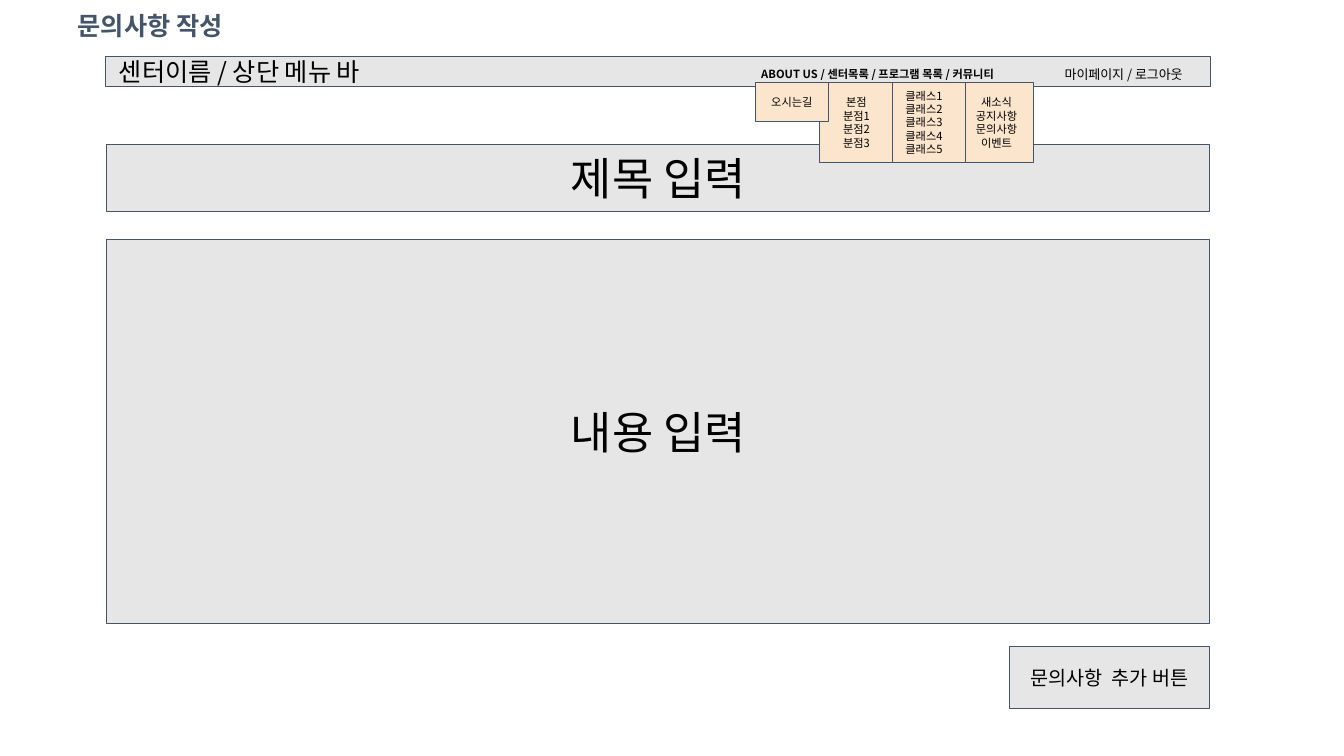
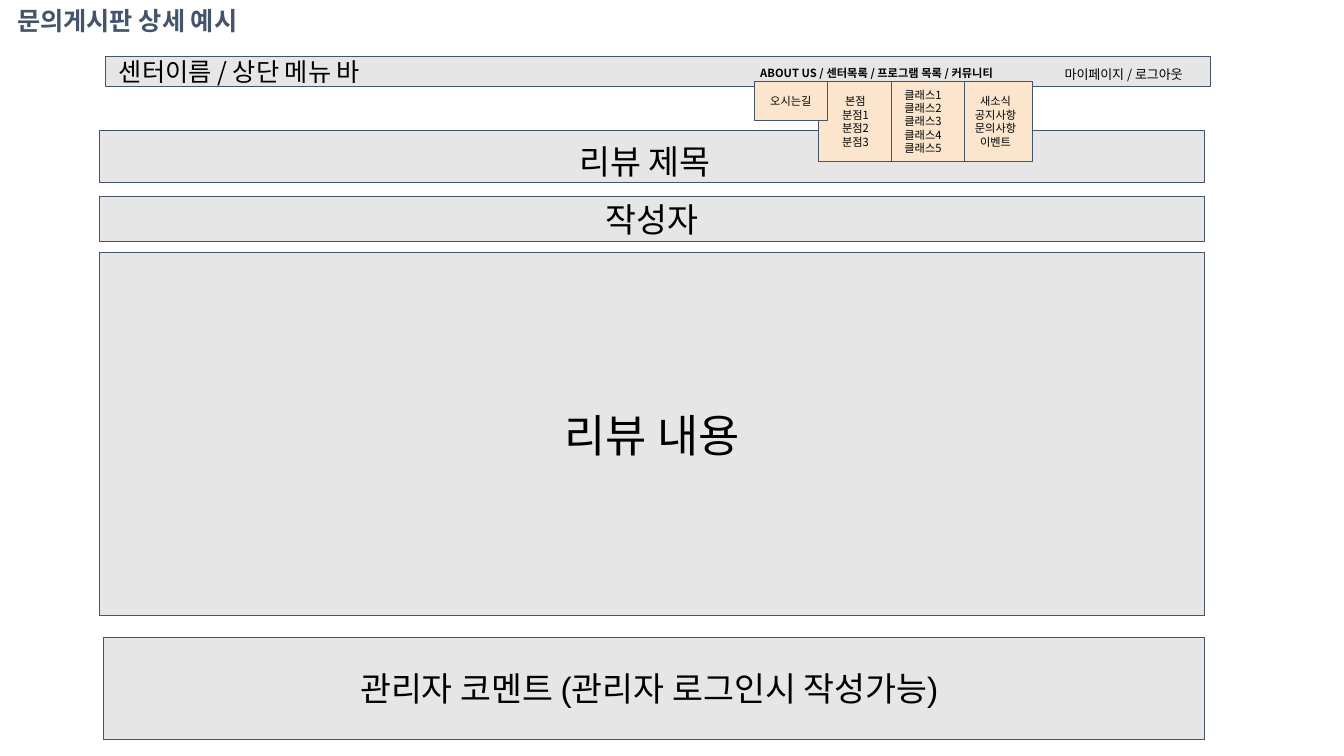
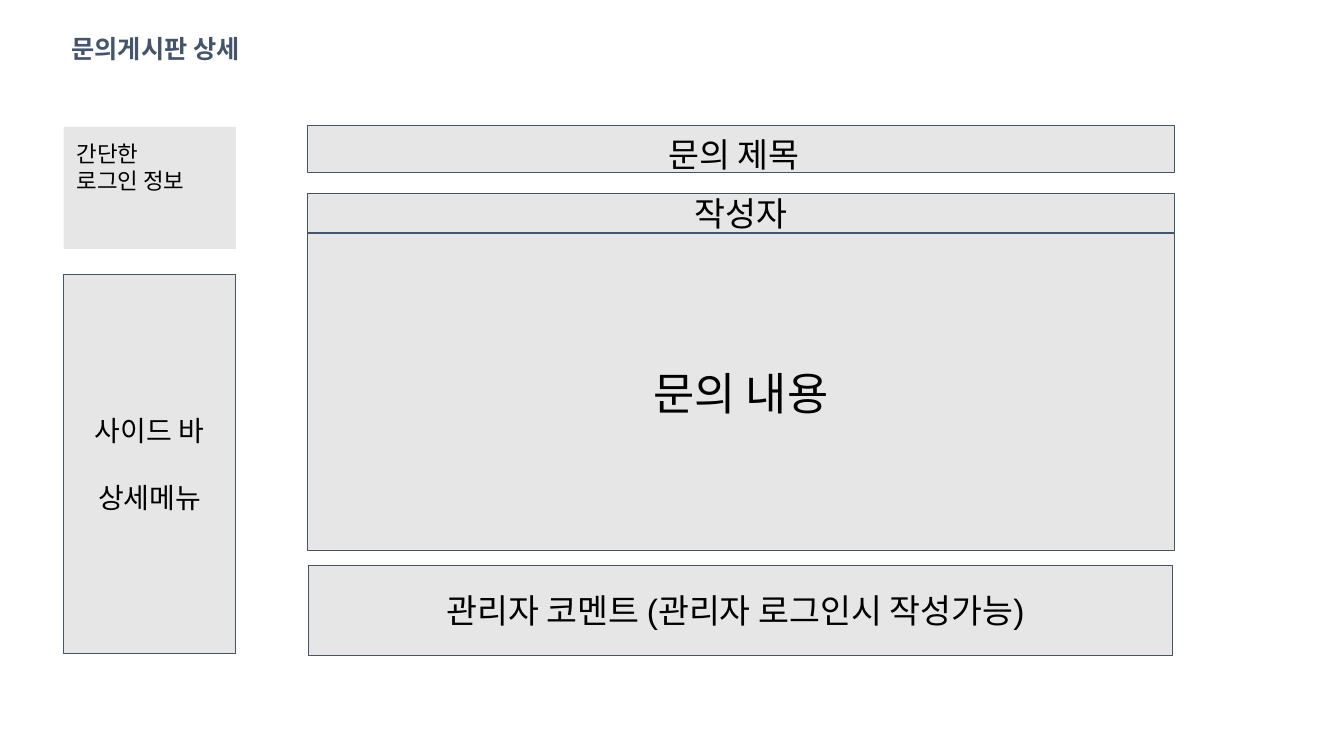
from lxml import etree
from pptx import Presentation
from pptx import util as u
from pptx.dml.color import RGBColor
from pptx.enum import shapes, text
from pptx.oxml.ns import qn

NAVY = RGBColor(0x44, 0x54, 0x6A)
GRAY = RGBColor(0xE7, 0xE6, 0xE6)
PEACH = RGBColor(0xFC, 0xE5, 0xCD)
BLACK = RGBColor(0, 0, 0)
NOTO = "Noto Sans CJK KR"
ARIAL = "Arial"
LEFT, CENTER = text.PP_ALIGN.LEFT, text.PP_ALIGN.CENTER
TOP, MIDDLE = text.MSO_ANCHOR.TOP, text.MSO_ANCHOR.MIDDLE
WIDE = (0.13,) * 4
NARROW = (0.1,) * 4
HEADING = (0.1, 0.2, 0.24, 0.1)
COMMENT = (0.1, 0.1, 0.2, 0.1)
COMMENT_TEXT = "관리자 코멘트 (관리자 로그인시 작성가능)"


def place(sp, box):
    sp.left, sp.top, sp.width, sp.height = [u.Inches(v) for v in box]


def write(sp, lines, size, font=NOTO, color=BLACK, bold=False, align=LEFT,
          anchor=TOP, insets=WIDE, gap=0):
    tf = sp.text_frame
    tf.word_wrap = True
    tf.auto_size = text.MSO_AUTO_SIZE.NONE
    tf.vertical_anchor = anchor
    tf.margin_left, tf.margin_top, tf.margin_right, tf.margin_bottom = [
        u.Inches(v) for v in insets]
    tf.text = "\n".join(lines)
    for i, p in enumerate(tf.paragraphs):
        p.alignment = align
        p.line_spacing = u.Pt(round(size * 1.2, 1))
        p.space_before = u.Pt(gap if i else 0)
        p.font.name = font
        p.font.size = u.Pt(size)
        p.font.bold = bold
        p.font.color.rgb = color
        for props in p._p.iter(qn("a:defRPr")):
            etree.SubElement(props, qn("a:ea"), typeface=NOTO)


def add_title(s, title, left, top):
    sp = s.shapes.title
    place(sp, (left, top, 3, 0.46))
    write(sp, [title], 18, color=NAVY, bold=True, insets=NARROW)


def add_label(s, box, line, size, bold=False):
    sp = s.shapes.add_textbox(*[u.Inches(v) for v in box])
    write(sp, [line], size, bold=bold)


def add_box(s, box, lines, size, fill=GRAY, outlined=True, align=CENTER,
            anchor=MIDDLE, **style):
    sp = s.shapes.add_shape(shapes.MSO_SHAPE.RECTANGLE, *[u.Inches(v) for v in box])
    sp.shadow.inherit = False
    sp.fill.solid()
    sp.fill.fore_color.rgb = fill
    if outlined:
        sp.line.color.rgb = NAVY
        sp.line.width = u.Pt(0.75)
    else:
        sp.line.fill.background()
    write(sp, lines, size, align=align, anchor=anchor, **style)


def add_panel(s, box, line, size, insets=NARROW):
    add_box(s, box, [line], size, font=ARIAL, insets=insets)


def add_menu_bar(s, left, top):
    add_box(s, (1.05, 0.56, 10.96, 0.3), ["센터이름 / 상단 메뉴 바"], 18, align=LEFT)
    add_label(s, (left, top, 3.29, 0.39),
              "ABOUT US / 센터목록 / 프로그램 목록 / 커뮤니티", 8, bold=True)
    menus = [
        (2.1, 0.79, CENTER, ["새소식", "공지사항", "문의사항", "이벤트"]),
        (0.71, 0.79, CENTER, ["본점"] + [f"분점{n}" for n in range(1, 4)]),
        (1.43, 0.79, LEFT, [f"클래스{n}" for n in range(1, 6)]),
        (0.07, 0.39, CENTER, ["오시는길"]),
    ]
    for offset, height, align, items in menus:
        add_box(s, (left + offset, top + 0.28, 0.73, height), items, 8,
                fill=PEACH, align=align)
    add_label(s, (10.43, 0.55, 2.06, 0.21), "마이페이지 / 로그아웃", 9.3)


def build_write_form(s):
    add_title(s, "문의사항 작성", 0.67, 0)
    add_panel(s, (1.06, 1.43, 10.94, 0.67), "제목 입력", 32)
    add_panel(s, (1.06, 2.38, 10.94, 3.81), "내용 입력", 32)
    add_panel(s, (10.01, 6.41, 1.99, 0.62), "문의사항  추가 버튼", 14)
    add_menu_bar(s, 7.42, 0.54)


def build_detail_example(s):
    add_title(s, "문의게시판 상세 예시", 0.07, -0.05)
    add_panel(s, (0.99, 1.29, 10.96, 0.52), "리뷰 제목", 24, HEADING)
    add_panel(s, (0.99, 1.95, 10.96, 0.45), "작성자", 24)
    add_panel(s, (0.99, 2.51, 10.96, 3.6), "리뷰 내용", 32)
    add_panel(s, (1.03, 6.32, 10.92, 1.02), COMMENT_TEXT, 24, COMMENT)
    add_menu_bar(s, 7.41, 0.53)


def build_detail(s):
    add_title(s, "문의게시판 상세", 0.61, 0.23)
    add_panel(s, (3.05, 1.25, 8.6, 0.46), "문의 제목", 24, HEADING)
    add_panel(s, (3.05, 1.92, 8.6, 0.39), "작성자", 24)
    add_panel(s, (3.05, 2.32, 8.6, 3.14), "문의 내용", 32)
    add_panel(s, (3.06, 5.61, 8.57, 0.89), COMMENT_TEXT, 24, COMMENT)
    add_box(s, (0.63, 1.26, 1.71, 1.21), ["간단한", "로그인 정보"], 16,
            outlined=False, align=LEFT, anchor=TOP)
    add_box(s, (0.63, 2.72, 1.71, 3.76), ["사이드 바", "상세메뉴"], 20, gap=24)


def main():
    prs = Presentation()
    prs.slide_width, prs.slide_height = u.Inches(13.33), u.Inches(7.5)
    for build in (build_write_form, build_detail_example, build_detail):
        build(prs.slides.add_slide(prs.slide_layouts[5]))
    prs.save("out.pptx")


if __name__ == "__main__":
    main()
